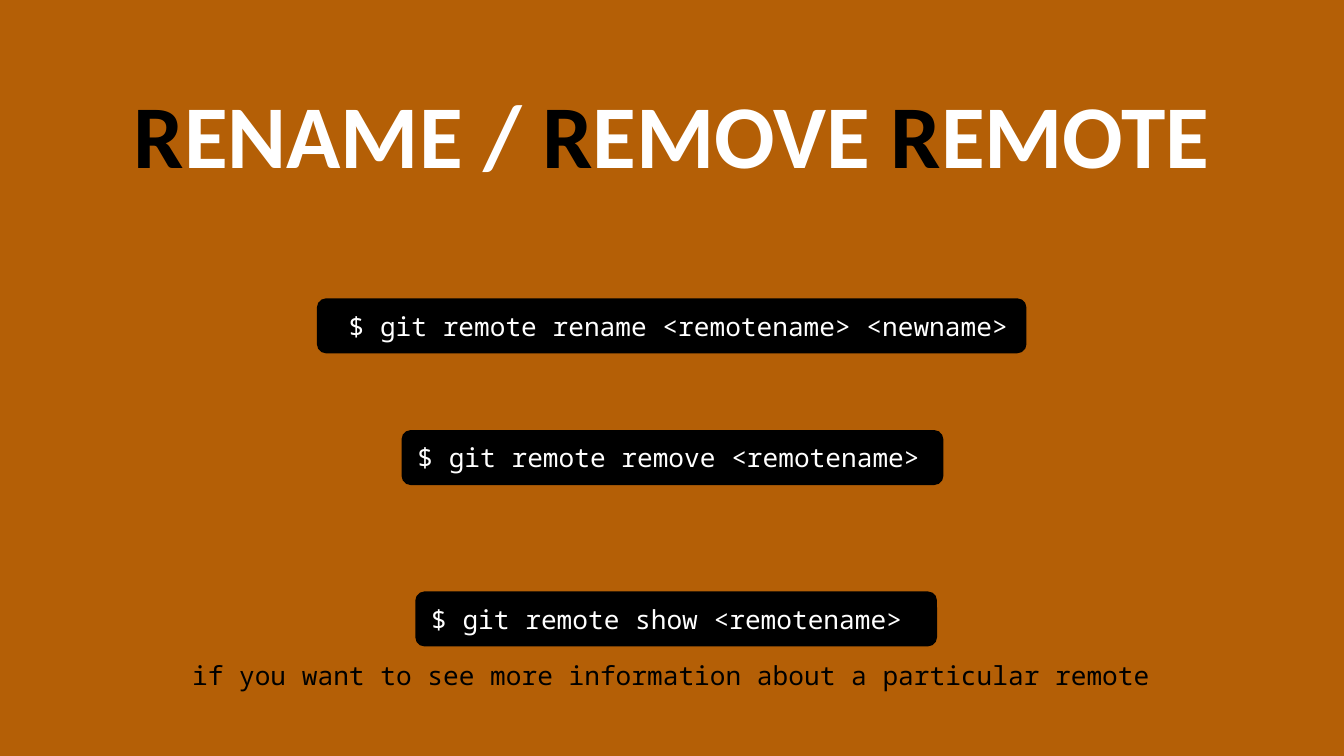
"""Build a slide on renaming, removing and showing Git remotes."""
from pptx import Presentation
from pptx.dml.color import RGBColor
from pptx.enum.shapes import MSO_SHAPE
from pptx.enum.text import MSO_ANCHOR, MSO_AUTO_SIZE, PP_ALIGN
from pptx.util import Cm, Pt

ROUNDED = MSO_SHAPE.ROUNDED_RECTANGLE
TOP, MIDDLE = MSO_ANCHOR.TOP, MSO_ANCHOR.MIDDLE
LEFT, CENTER = PP_ALIGN.LEFT, PP_ALIGN.CENTER
NO_FIT = MSO_AUTO_SIZE.NONE
COLORS = {"background": "B45F06", "dark": "000000", "light": "FFFFFF"}
INSET = Cm(0.25)
FRAME = {"margin_left": INSET, "margin_right": INSET, "margin_top": INSET,
         "margin_bottom": INSET, "word_wrap": True, "auto_size": NO_FIT}
HEADING = {"name": "Calibri", "size": Pt(48), "bold": True}
CODE = {"name": "Noto Sans Mono", "size": Pt(14), "bold": False}


def color(key):
    return RGBColor.from_string(COLORS[key])


def write(shape, pieces, font, align, anchor):
    frame = shape.text_frame
    for key, value in {**FRAME, "vertical_anchor": anchor}.items():
        setattr(frame, key, value)
    paragraph = frame.paragraphs[0]
    paragraph.alignment = align
    for text, tone in pieces:
        run = paragraph.add_run()
        run.text = text
        for key, value in font.items():
            setattr(run.font, key, value)
        run.font.color.rgb = color(tone)


deck = Presentation()
deck.slide_width, deck.slide_height = Cm(25.4), Cm(14.29)
slide = deck.slides.add_slide(deck.slide_layouts[5])
slide.background.fill.solid()
slide.background.fill.fore_color.rgb = color("background")

heading = slide.shapes.title
heading_place = {"left": Cm(0.86), "top": Cm(1.24), "width": Cm(23.67), "height": Cm(1.6)}
for key, value in heading_place.items():
    setattr(heading, key, value)
heading_pieces = []
for rest in ("ENAME / ", "EMOVE ", "EMOTE"):
    heading_pieces += [("R", "dark"), (rest, "light")]
write(heading, heading_pieces, HEADING, CENTER, TOP)

commands = [
    ("$ git remote rename <remotename> <newname>", 5.99, 5.64, 13.41, 0.55),
    ("$ git remote remove <remotename>", 7.59, 8.13, 10.24, 0.25),
    ("$ git remote show <remotename>", 7.85, 11.18, 9.86, 0.25),
]
for command, left, top, width, indent in commands:
    command_bar = slide.shapes.add_shape(ROUNDED, Cm(left), Cm(top), Cm(width), Cm(1.04))
    command_bar.shadow.inherit = False
    command_bar.fill.solid()
    command_bar.fill.fore_color.rgb = color("dark")
    command_bar.line.fill.background()
    write(command_bar, [(command, "light")], CODE, LEFT, MIDDLE)
    command_bar.text_frame.margin_left = Cm(indent)

explanation = slide.shapes.add_textbox(Cm(2.51), Cm(12.22), Cm(20.37), Cm(2.07))
write(explanation, [("if you want to see more information about a particular remote", "dark")],
      CODE, CENTER, TOP)

deck.save("out.pptx")
